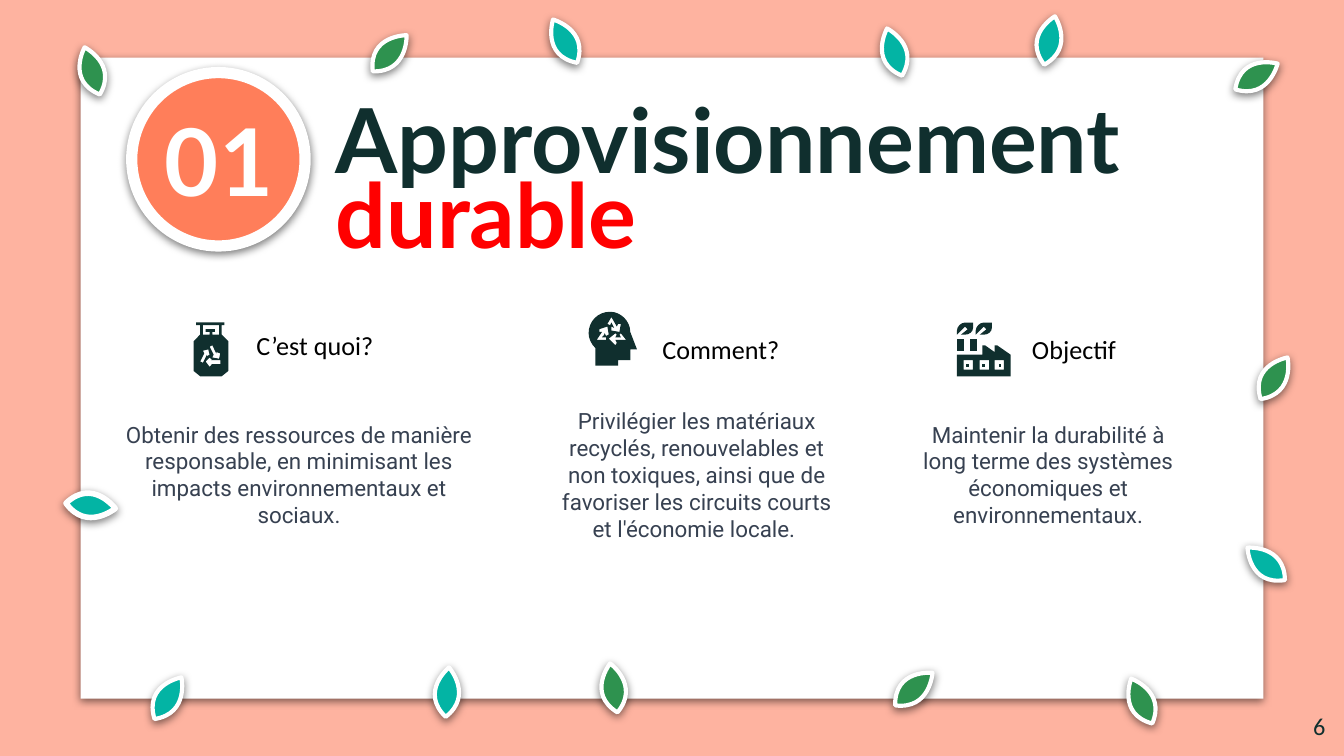
"""Build the slide on sustainable sourcing, framed by leaves."""
from dataclasses import dataclass

import lxml.etree
import pptx
import pptx.dml.color
import pptx.enum.shapes
import pptx.enum.text
import pptx.oxml.ns
import pptx.util

Inches = pptx.util.Inches
RGBColor = pptx.dml.color.RGBColor
Align = pptx.enum.text.PP_ALIGN
AutoSize = pptx.enum.text.MSO_AUTO_SIZE
ShapeType = pptx.enum.shapes.MSO_SHAPE
qn = pptx.oxml.ns.qn

SALMON = RGBColor(0xFE, 0xB3, 0xA0)
CORAL = RGBColor(0xFF, 0x7E, 0x5A)
WHITE = RGBColor(0xFF, 0xFF, 0xFF)
BLACK = RGBColor(0x00, 0x00, 0x00)
RED = RGBColor(0xFF, 0x00, 0x00)
DARK = RGBColor(0x10, 0x2F, 0x2E)
SLATE = RGBColor(0x37, 0x41, 0x51)
GREEN = RGBColor(0x2E, 0x92, 0x4F)
TEAL = RGBColor(0x03, 0xB4, 0xA4)


@dataclass
class Leaf:
    left: float
    top: float
    rotation: float
    color: RGBColor
    outline: float = 2.25


@dataclass
class Column:
    heading: str
    heading_box: tuple[float, float, float, float]
    body: str
    body_box: tuple[float, float, float, float]


LEAF_OUTLINE = "M .28 0 C .28 0 0 .05 .08 .31 .34 .27 .28 0 .28 0 Z"
LEAVES = [
    Leaf(9.3, 2.66, 0, GREEN), Leaf(1.07, 5.04, 0, TEAL),
    Leaf(0.51, 0.38, 309.3, GREEN), Leaf(2.72, 0.24, 10.2, GREEN),
    Leaf(4.03, 0.16, 298.1, TEAL), Leaf(7.63, 0.15, 339.5, TEAL),
    Leaf(6.48, 0.24, 309.6, TEAL), Leaf(9.17, 0.41, 25.8, GREEN),
    Leaf(8.32, 5.07, 302.1, GREEN), Leaf(6.62, 4.97, 16.1, GREEN),
    Leaf(0.5, 3.6, 63.2, TEAL, 3), Leaf(3.15, 5, 331.1, TEAL),
    Leaf(4.39, 4.97, 318.7, GREEN), Leaf(9.25, 4.05, 278, TEAL),
]
SMOKE = ("M .06 0 C .03 0 0 .03 0 .06 L 0 .09 .06 .03 .08 .05 .03 .09 .06 .09 "
         "C .09 .09 .12 .07 .12 .04 L .12 0 Z")
CHIMNEY = "M 0 0 0 .09 .05 .09 .05 0 Z"
WINDOW = "M 0 0 0 .02 .02 .02 .02 0 Z"
FACTORY = (
    "M .12 .11 .12 .18 .05 .18 .05 .11 Z M .24 .11 .24 .18 .17 .18 .17 .11 Z "
    "M .35 .11 .35 .18 .28 .18 .28 .11 Z M .19 0 .19 .07 0 .07 0 .23 .4 .23 "
    ".4 .07 .3 0 .28 0 .28 .05 .21 0 Z"
)
FACTORY_PARTS = [
    (SMOKE, 7.26, 2.4),
    (WINDOW, 7.31, 2.71), (WINDOW, 7.43, 2.71), (WINDOW, 7.19, 2.71),
    (FACTORY, 7.12, 2.57), (SMOKE, 7.12, 2.4),
    (CHIMNEY, 7.12, 2.52), (CHIMNEY, 7.22, 2.52),
]
HEAD = (
    "M .17 .04 .21 .11 .22 .09 .24 .09 .23 .15 .17 .14 .17 .11 .19 .12 "
    ".17 .08 .16 .1 .14 .09 Z "
    "M .14 .11 .15 .17 .13 .18 .12 .16 C .12 .17 .11 .18 .1 .19 "
    ".12 .19 .13 .19 .13 .19 L .13 .21 .06 .21 .1 .15 .08 .15 .08 .13 Z "
    "M .2 .16 .21 .17 .2 .19 .24 .19 .23 .17 .24 .16 .28 .21 .2 .21 "
    ".21 .23 .2 .25 .15 .2 Z "
    "M .16 0 C .07 0 0 .07 0 .16 0 .2 .02 .24 .05 .27 L .05 .4 .22 .4 "
    ".22 .36 .31 .36 .31 .28 .36 .28 .31 .15 C .31 .07 .24 0 .16 0 Z"
)
CANISTER = (
    "M .19 .02 .19 .09 .14 .09 .14 .07 .16 .07 .16 .05 .09 .05 .09 .07 "
    ".12 .07 .12 .09 .07 .09 .07 .02 Z "
    "M .14 .17 .17 .23 .17 .22 .2 .23 .19 .27 .14 .26 .15 .24 .12 .18 Z "
    "M .11 .2 .12 .24 .1 .25 .1 .24 .07 .3 .05 .29 .08 .23 .07 .21 Z "
    "M .12 .26 .14 .28 .13 .28 .2 .28 .2 .31 .13 .31 .14 .31 .12 .33 .09 .29 Z "
    "M .02 0 .02 .02 .05 .02 .05 .09 0 .14 0 .36 .05 .4 .21 .4 .26 .36 "
    ".26 .14 .21 .09 .21 .02 .23 .02 .23 0 Z"
)
COLUMNS = [
    Column("C’est quoi?", (1.81, 2.35, 1.7, 0.44),
           "Obtenir des ressources de manière responsable, en minimisant les "
           "impacts environnementaux et sociaux.", (0.82, 3.03, 2.81, 1.01)),
    Column("Comment?", (4.83, 2.38, 1.92, 0.44),
           "Privilégier les matériaux recyclés, renouvelables et non toxiques, "
           "ainsi que de favoriser les circuits courts et l'économie locale. ",
           (4.08, 2.93, 2.21, 1.21)),
    Column("Objectif", (7.58, 2.38, 2.42, 0.44),
           "Maintenir la durabilité à long terme des systèmes économiques et "
           "environnementaux.", (6.75, 3.03, 2.1, 1.01)),
]


def style_shape(shape, fill: RGBColor, outline: float = 0, shadow: bool = False) -> None:
    shape.fill.solid()
    shape.fill.fore_color.rgb = fill
    if outline:
        shape.line.color.rgb = WHITE
        shape.line.width = pptx.util.Pt(outline)
    else:
        shape.line.fill.background()
    shape.shadow.inherit = False
    if shadow:
        effects = next(shape.element.iter(qn("a:effectLst")))
        outer = lxml.etree.SubElement(
            effects, qn("a:outerShdw"), blurRad="57150", dist="19050",
            dir="5400000", algn="bl", rotWithShape="0")
        color = lxml.etree.SubElement(outer, qn("a:srgbClr"), val="000000")
        lxml.etree.SubElement(color, qn("a:alpha"), val="50000")


def parse_outline(outline: str) -> list[tuple[str, list[tuple[int, int]]]]:
    """Split an outline into move, line, curve and close steps."""
    steps, command, numbers = [], "", []
    for token in outline.split():
        if token == "Z":
            steps.append(("close", []))
        elif token.isalpha():
            command = token
        else:
            numbers.append(Inches(float(token)))
            if len(numbers) == (6 if command == "C" else 2):
                name = {"M": "moveTo", "L": "lnTo", "C": "cubicBezTo"}[command]
                steps.append((name, list(zip(numbers[::2], numbers[1::2]))))
                numbers = []
                command = "L" if command == "M" else command
    return steps


def draw_outline(shapes, outline: str, left: float, top: float):
    """Draw a freeform whose outline may hold curves."""
    steps = parse_outline(outline)
    points = [point for _, step_points in steps for point in step_points]
    width, height = (max(values) for values in zip(*points))
    x, y = Inches(left), Inches(top)
    builder = shapes.build_freeform(x, y)
    builder.add_line_segments([(x + width, y), (x + width, y + height), (x, y + height)])
    shape = builder.convert_to_shape()
    geometry = next(shape.element.iter(qn("a:path")))
    for child in list(geometry):
        geometry.remove(child)
    for name, step_points in steps:
        step = lxml.etree.SubElement(geometry, qn(f"a:{name}"))
        for point_x, point_y in step_points:
            lxml.etree.SubElement(step, qn("a:pt"), x=str(point_x), y=str(point_y))
    return shape


def draw_leaf(shapes, leaf: Leaf) -> None:
    shape = draw_outline(shapes, LEAF_OUTLINE, leaf.left, leaf.top)
    shape.rotation = leaf.rotation
    style_shape(shape, leaf.color, leaf.outline, shadow=True)


def draw_icon(shapes, outline: str, left: float, top: float) -> None:
    style_shape(draw_outline(shapes, outline, left, top), DARK)


def add_text(paragraph, text: str, *, font: str, size: float, color: RGBColor,
             bold: bool = False) -> None:
    run = paragraph.add_run()
    run.text = text
    run.font.name, run.font.size, run.font.bold = font, pptx.util.Pt(size), bold
    run.font.color.rgb = color


def prepare_frame(frame, align: Align, auto_size: AutoSize):
    frame.word_wrap = True
    frame.auto_size = auto_size
    frame.margin_left = frame.margin_right = Inches(0.1)
    frame.margin_top = frame.margin_bottom = Inches(0.1)
    frame.paragraphs[0].alignment = align
    return frame.paragraphs[0]


def add_box(slide, box: tuple[float, float, float, float], align: Align = Align.LEFT):
    frame = slide.shapes.add_textbox(*map(Inches, box)).text_frame
    return prepare_frame(frame, align, AutoSize.SHAPE_TO_FIT_TEXT)


def main() -> None:
    presentation = pptx.Presentation()
    presentation.slide_width = Inches(10)
    presentation.slide_height = presentation.slide_width * 9 // 16
    slide = presentation.slides.add_slide(presentation.slide_layouts[5])
    slide.background.fill.solid()
    slide.background.fill.fore_color.rgb = SALMON

    page = slide.shapes.add_shape(ShapeType.RECTANGLE, *map(Inches, (0.6, 0.43, 8.8, 4.77)))
    style_shape(page, WHITE, shadow=True)
    leaves = slide.shapes.add_group_shape()
    for leaf in LEAVES:
        draw_leaf(leaves.shapes, leaf)

    badge = slide.shapes.add_shape(ShapeType.OVAL, *map(Inches, (0.98, 0.54, 1.29, 1.29)))
    style_shape(badge, CORAL, 6, shadow=True)
    title = slide.shapes.title
    title.left, title.top, title.width, title.height = map(Inches, (0.67, 0.87, 1.92, 0.63))
    title.text_frame.vertical_anchor = pptx.enum.text.MSO_ANCHOR.MIDDLE
    paragraph = prepare_frame(title.text_frame, Align.CENTER, AutoSize.NONE)
    add_text(paragraph, "01", font="Lato", size=50, color=WHITE, bold=True)
    badge.element.addnext(title.element)

    paragraph = add_box(slide, (2.4, 0.74, 7.84, 0.77))
    paragraph.line_spacing = 0.7
    for text, color in (("Approvisionnement ", DARK), ("durable", RED)):
        add_text(paragraph, text, font="Lato", size=48, color=color, bold=True)

    for column in COLUMNS:
        add_text(add_box(slide, column.heading_box), column.heading,
                 font="Calibri", size=14, color=BLACK)
        add_text(add_box(slide, column.body_box, Align.CENTER), column.body,
                 font="Roboto", size=12, color=SLATE)
    add_text(add_box(slide, (9.36, 5.19, 0.6, 0.43), Align.RIGHT), "6",
             font="Calibri", size=13, color=DARK)

    factory = slide.shapes.add_group_shape()
    for part in FACTORY_PARTS:
        draw_icon(factory.shapes, *part)
    draw_icon(slide.shapes, HEAD, 4.38, 2.32)
    draw_icon(slide.shapes, CANISTER, 1.44, 2.4)
    presentation.save("out.pptx")


if __name__ == "__main__":
    main()
